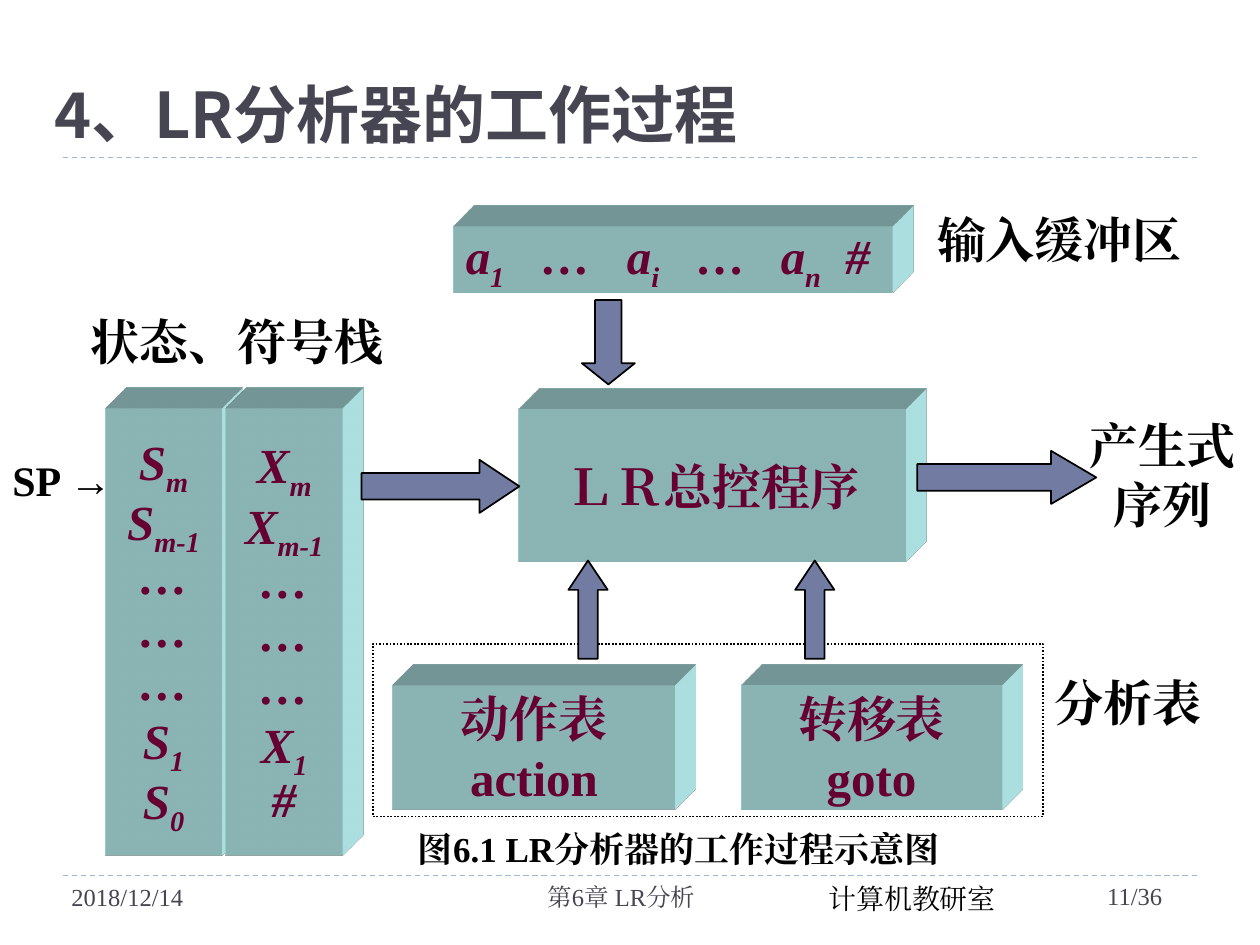
"""Builds a slide showing how an LR parser works."""
from lxml import etree
from pptx import Presentation, util as u
from pptx.dml.color import RGBColor
from pptx.enum import dml, shapes, text
from pptx.oxml import parse_xml
from pptx.oxml.ns import qn

SERIF, SANS = "Times New Roman", "Noto Sans CJK SC"
INK, GREY, WINE, ICE, BLUE = "000000", "464653", "660033", "C5FFFF", "727CA3"
LEFT, CENTER, RIGHT = text.PP_ALIGN.LEFT, text.PP_ALIGN.CENTER, text.PP_ALIGN.RIGHT
A = 'xmlns:a="http://schemas.openxmlformats.org/drawingml/2006/main"'

TITLE = ("4、LR分析器的工作过程", (0.84, 1.07, 23.93, 2.11))
RULES = [17.65, 3.18]
TABLE_FRAME = (7.52, 12.98, 13.51, 3.48)

# Odd parts between bars are subscripts.
INPUT = ((9.14, 4.57, 8.86, 1.32), "a|1|\t…\ta|i|\t…\ta|n|\t#", [1.53, 3.25, 4.66, 6.35, 7.66])
BLOCKS = [
    ((10.46, 8.26, 7.8, 3.07), ["ＬＲ总控程序"]),
    ((7.92, 13.82, 5.69, 2.51), ["动作表", "action"]),
    ((14.94, 13.82, 5.26, 2.51), ["转移表", "goto"]),
]
STACKS = [
    ((2.13, 8.23, 2.34, 9.02), ["S|m", "S|m-1", "…", "…", "…", "S|1", "S|0"]),
    ((4.55, 8.23, 2.36, 9.02), ["X|m", "X|m-1", "…", "…", "…", "X|1", "#"]),
]
LABELS = [
    ((21.67, 8.26, 3.53, 2.64), ["产生式", "序列"], 28, CENTER),
    ((1.57, 6.15, 6.53, 1.45), ["状态、符号栈"], 28, LEFT),
    ((18.64, 4.09, 5.54, 1.45), ["输入缓冲区"], 28, LEFT),
    ((21.01, 13.44, 3.53, 1.45), ["分析表"], 28, LEFT),
    ((0, 9.04, 2.54, 1.3), ["SP →"], 24, LEFT),
    ((7.34, 16.56, 12.7, 1.12), ["图6.1 LR分析器的工作过程示意图"], 20, CENTER),
]
FOOTERS = [
    ((16.28, 17.65, 4.22, 0.94), "计算机教研室", 16, INK, CENTER),
    ((22.07, 17.63, 2.51, 0.81), "11/36", 14, GREY, LEFT),
    ((1.19, 17.65, 4.57, 1.4), "2018/12/14", 14, GREY, LEFT),
    ((8.05, 17.65, 6.22, 1.4), "第6章 LR分析", 14, GREY, RIGHT),
]
ARROWS = [
    ("RIGHT_ARROW", (7.29, 9.27, 3.18, 1.07), 0.75),
    ("DOWN_ARROW", (11.73, 6.05, 1.07, 1.7), 0.4),
    ("UP_ARROW", (11.46, 11.3, 0.79, 1.98), 0.75),
    ("UP_ARROW", (16.03, 11.3, 0.79, 1.98), 0.75),
    ("RIGHT_ARROW", (18.49, 9.09, 3.61, 1.07), 0.85),
]


def rgb(value):
    return RGBColor.from_string(value)


def cm(box):
    return [u.Cm(v) for v in box]


def write(sp, lines, size, color, align=LEFT, bold=True, italic=False,
          font=SERIF, wrap=False, spacing=None):
    tf = sp.text_frame
    tf.word_wrap = wrap
    for i, line in enumerate(lines):
        p = tf.add_paragraph() if i else tf.paragraphs[0]
        p.alignment = align
        if spacing:
            p.line_spacing = spacing
        for j, part in enumerate(line.split("|")):
            r = p.add_run()
            r.text = part
            f = r.font
            f.size, f.bold, f.italic, f.name = u.Pt(size), bold, italic, font
            f.color.rgb = rgb(color)
            rpr = r._r.get_or_add_rPr()
            etree.SubElement(rpr, qn("a:ea")).set("typeface", font)
            if j % 2:
                rpr.set("baseline", "-25000")


def add_shape(s, kind, box, fill=None, line=None):
    sp = s.shapes.add_shape(getattr(shapes.MSO_SHAPE, kind), *cm(box))
    sp.shadow.inherit = False
    if fill:
        sp.fill.solid()
        sp.fill.fore_color.rgb = rgb(fill)
    else:
        sp.fill.background()
    if line:
        sp.line.color.rgb = rgb(line)
        sp.line.width = u.Pt(1)
    else:
        sp.line.fill.background()
    return sp


def add_block(s, box):
    sp = add_shape(s, "RECTANGLE", box, ICE)
    sp.text_frame.vertical_anchor = text.MSO_ANCHOR.MIDDLE
    pr = sp._element.spPr
    pr.append(parse_xml(
        f'<a:scene3d {A}><a:camera prst="legacyObliqueTopRight"/>'
        '<a:lightRig rig="legacyFlat3" dir="b"/></a:scene3d>'))
    pr.append(parse_xml(
        f'<a:sp3d {A} extrusionH="430200" prstMaterial="legacyMatte">'
        f'<a:extrusionClr><a:srgbClr val="{ICE}"/></a:extrusionClr></a:sp3d>'))
    return sp


def main():
    prs = Presentation()
    prs.slide_width, prs.slide_height = u.Cm(25.4), u.Cm(19.05)
    s = prs.slides.add_slide(prs.slide_layouts[5])

    title = s.shapes.title
    title.left, title.top, title.width, title.height = cm(TITLE[1])
    title.text_frame.vertical_anchor = text.MSO_ANCHOR.BOTTOM
    write(title, [TITLE[0]], 36, GREY, font=SANS, wrap=True)

    for y in RULES:
        rule = s.shapes.add_connector(shapes.MSO_CONNECTOR.STRAIGHT, *cm((1.27, y, 24.13, y)))
        rule.line.color.rgb = rgb("9FB8CD")
        rule.line.width = u.Pt(0.75)
        rule.line.dash_style = dml.MSO_LINE.DASH
        etree.SubElement(rule._element.spPr, qn("a:effectLst"))

    for box, words, size, color, align in FOOTERS:
        write(s.shapes.add_textbox(*cm(box)), [words], size, color, align, bold=False, wrap=True)

    box, words, stops = INPUT
    buffer = add_block(s, box)
    write(buffer, [words], 28, WINE, italic=True, wrap=True)
    tabs = etree.SubElement(buffer.text_frame.paragraphs[0]._p.get_or_add_pPr(), qn("a:tabLst"))
    for stop in stops:
        etree.SubElement(tabs, qn("a:tab"), pos=str(u.Cm(stop)), algn="l")

    for box, lines in BLOCKS:
        write(add_block(s, box), lines, 28, WINE, CENTER)
    frame = add_shape(s, "RECTANGLE", TABLE_FRAME, line=INK)
    frame.line.dash_style = dml.MSO_LINE.ROUND_DOT
    for box, lines in STACKS:
        write(add_block(s, box), lines, 28, WINE, CENTER, italic=True, spacing=0.9)

    for kind, box, head in ARROWS:
        arrow = add_shape(s, kind, box, BLUE, INK)
        arrow.adjustments[0], arrow.adjustments[1] = 0.5, head
    for box, lines, size, align in LABELS:
        write(s.shapes.add_textbox(*cm(box)), lines, size, INK, align)

    prs.save("out.pptx")


if __name__ == "__main__":
    main()
